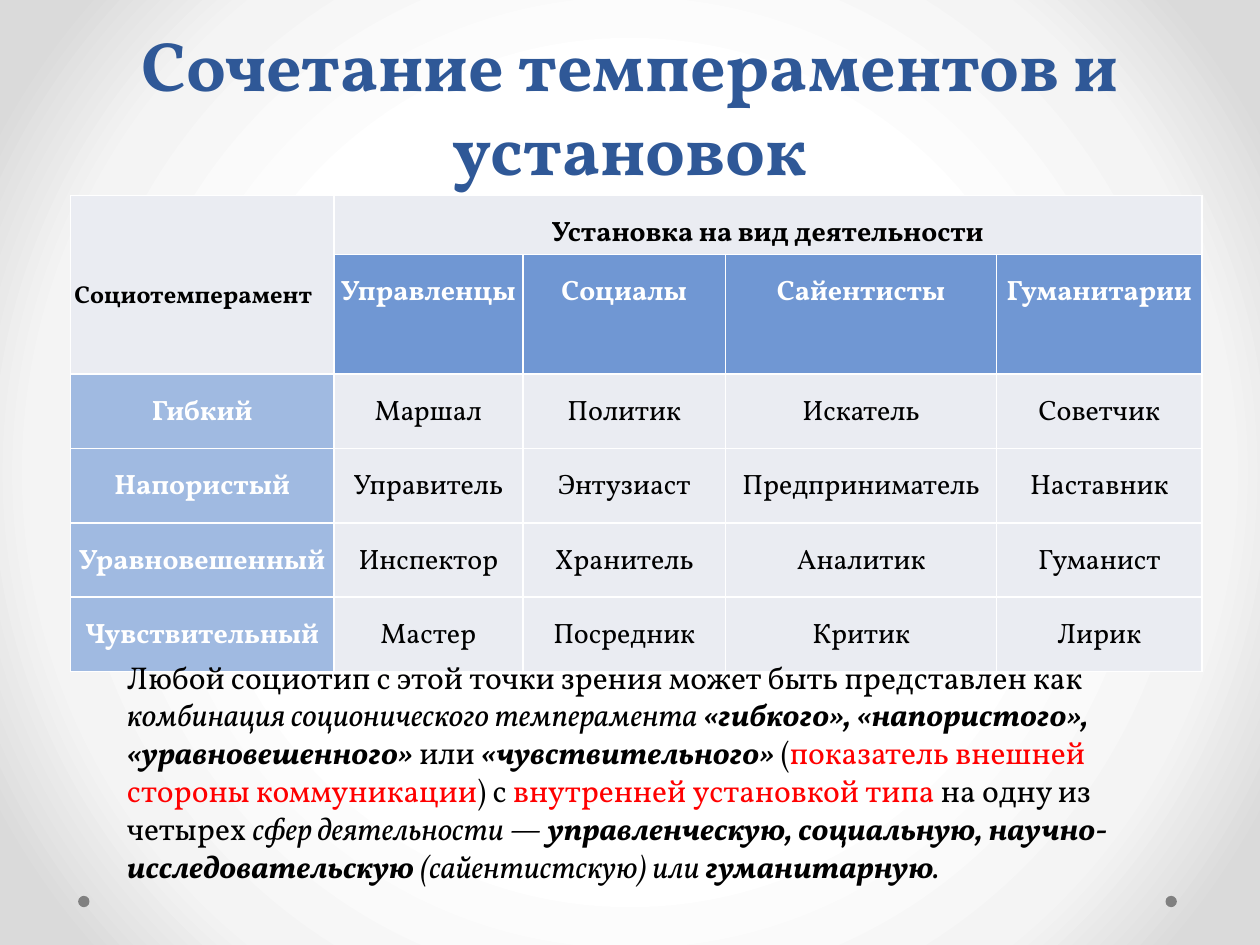
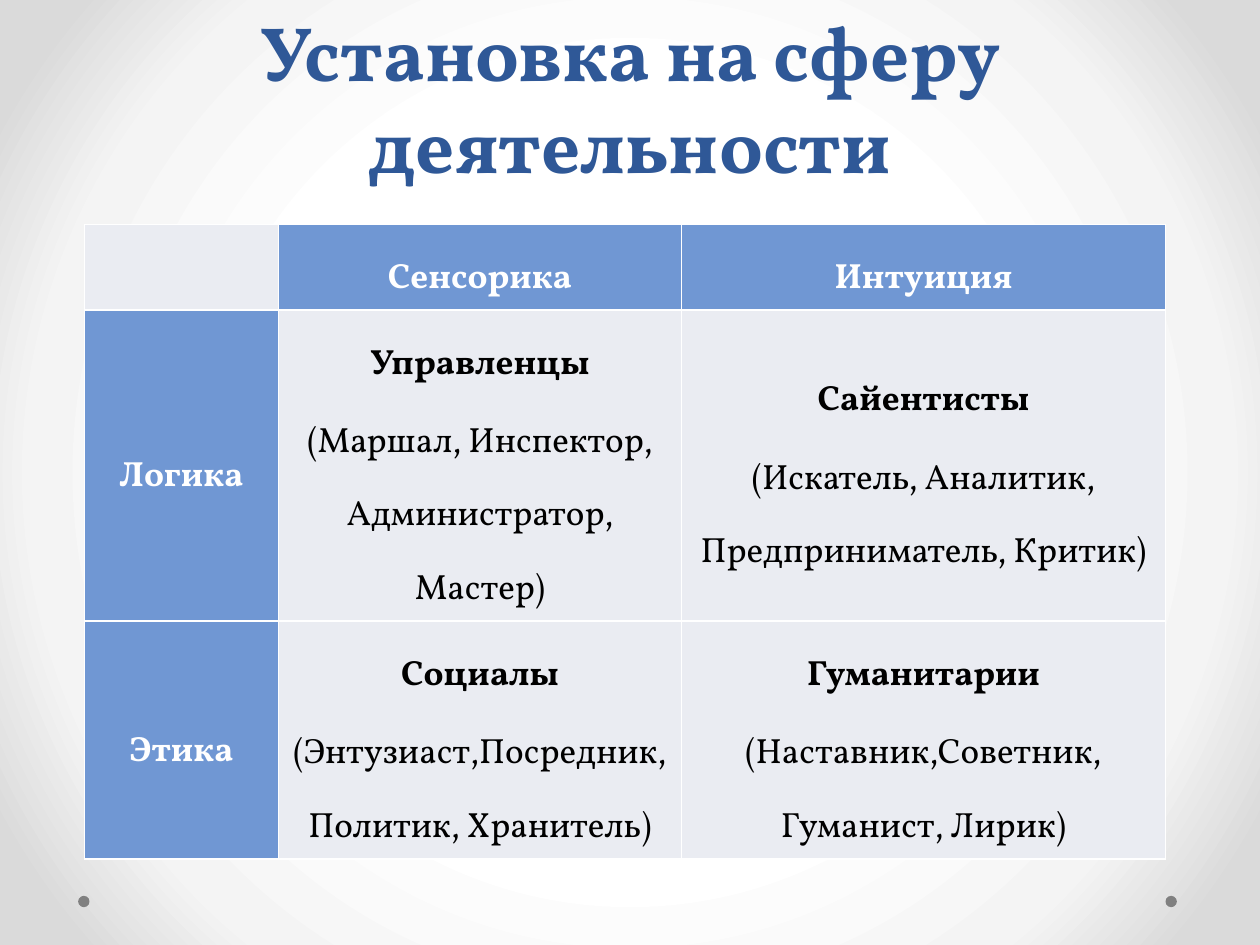
from lxml import etree
from pptx import Presentation
from pptx.dml.color import RGBColor as RGB
from pptx.enum.shapes import MSO_SHAPE as SHAPE
from pptx.enum.text import MSO_ANCHOR as ANCHOR, PP_ALIGN as ALIGN
from pptx.oxml import parse_xml
from pptx.oxml.ns import nsdecls, qn
from pptx.util import Inches, Pt

COLORS = {
    "title": "2F5897", "ink": "000000", "white": "FFFFFF", "accent": "FF0000",
    "head": "7097D3", "side": "A0BAE1", "body": "EAECF2", "dot": "808080",
}
GLOW = [(50, "FFFFFF"), (76, "F4F4F4"), (92, "DADADA")]
FONT = "Vollkorn"
COLS, ROWS = 100, 75


class Deck:
    def __init__(self):
        self.prs = Presentation()
        self.prs.slide_width, self.prs.slide_height = Inches(10), Inches(7.5)
        self.s = None

    def x(self, cols):
        return round(self.prs.slide_width * cols / COLS)

    def y(self, rows):
        return round(self.prs.slide_height * rows / ROWS)

    def box(self, left, top, width, height):
        return self.x(left), self.y(top), self.x(width), self.y(height)

    def slide(self):
        self.s = self.prs.slides.add_slide(self.prs.slide_layouts[6])
        self.background()
        for left in (92.5, 6.2):
            self.dot(left, 71.1)

    def background(self):
        self.s.background.fill.solid()
        bg = self.s.element.find(".//" + qn("p:bgPr"))
        stops = "".join(
            f'<a:gs pos="{pos * 1000}"><a:srgbClr val="{color}"/></a:gs>'
            for pos, color in GLOW)
        bg.replace(bg[0], parse_xml(
            f'<a:gradFill {nsdecls("a")} rotWithShape="1"><a:gsLst>{stops}</a:gsLst>'
            '<a:path path="circle"><a:fillToRect l="50000" t="50000" r="50000" b="50000"/>'
            '</a:path></a:gradFill>'))

    def dot(self, left, top):
        sp = self.s.shapes.add_shape(SHAPE.OVAL, *self.box(left, top, 0.9, 0.9))
        sp.shadow.inherit = False
        sp.fill.solid()
        sp.fill.fore_color.rgb = RGB.from_string(COLORS["dot"])
        sp.line.fill.background()

    def run(self, p, text, size, color="ink", bold=False, italic=False):
        r = p.add_run()
        r.text = text
        r.font.name, r.font.size = FONT, Pt(size)
        r.font.bold, r.font.italic = bold, italic
        r.font.color.rgb = RGB.from_string(COLORS[color])

    def text_box(self, place, anchor, align):
        tf = self.s.shapes.add_textbox(*self.box(*place)).text_frame
        tf.word_wrap = True
        tf.vertical_anchor = anchor
        p = tf.paragraphs[0]
        p.alignment, p.line_spacing = align, 1.0
        return p

    def title(self, text, top, height, size):
        p = self.text_box((5, top, 90, height), ANCHOR.BOTTOM, ALIGN.CENTER)
        self.run(p, text, size, "title", bold=True)

    def paragraph(self, place, size, runs):
        p = self.text_box(place, ANCHOR.TOP, ALIGN.LEFT)
        for text, style, color in runs:
            self.run(p, text, size, color, "b" in style, "i" in style)

    def table(self, left, top, cols, rows):
        place = self.box(left, top, sum(cols), sum(rows))
        tbl = self.s.shapes.add_table(len(rows), len(cols), *place).table
        tbl.first_row = tbl.horz_banding = False
        for col, width in zip(tbl.columns, cols):
            col.width = self.x(width)
        for row, height in zip(tbl.rows, rows):
            row.height = self.y(height)
        for cell in tbl.iter_cells():
            self.cell_frame(cell)
        return tbl

    def cell_frame(self, cell):
        self.fill(cell, "body")
        pr = cell._tc.get_or_add_tcPr()
        for i, side in enumerate("LRTB"):
            ln = etree.Element(qn(f"a:ln{side}"), w=str(Pt(1)))
            solid = etree.SubElement(ln, qn("a:solidFill"))
            etree.SubElement(solid, qn("a:srgbClr"), val=COLORS["white"])
            pr.insert(i, ln)

    def fill(self, cell, name):
        cell.fill.solid()
        cell.fill.fore_color.rgb = RGB.from_string(COLORS[name])

    def cell(self, cell, lines, size, fill="body", color="ink", bold=False,
             before=(), after=None, align=ALIGN.CENTER):
        self.fill(cell, fill)
        tf = cell.text_frame
        for i, text in enumerate(lines):
            p = tf.add_paragraph() if i else tf.paragraphs[0]
            p.alignment, p.line_spacing = align, 1.5
            if before:
                p.space_before = Pt(before[i])
            if after:
                p.space_after = Pt(after)
            self.run(p, text, size, color, bold and i == 0)


def temperaments(deck):
    deck.slide()
    deck.title("Сочетание темпераментов и установок", 0, 15.5, 40)
    heads = ["Управленцы", "Социалы", "Сайентисты", "Гуманитарии"]
    types = {
        "Гибкий": ["Маршал", "Политик", "Искатель", "Советчик"],
        "Напористый": ["Управитель", "Энтузиаст", "Предприниматель", "Наставник"],
        "Уравновешенный": ["Инспектор", "Хранитель", "Аналитик", "Гуманист"],
        "Чувствительный": ["Мастер", "Посредник", "Критик", "Лирик"],
    }
    tbl = deck.table(5.6, 15.5, [20.9, 15, 16.1, 21.5, 16.3],
                     [4.7, 9.5] + [5.9] * len(types))
    for cell in tbl.iter_cells():
        cell.margin_left = cell.margin_right = deck.x(0.3)
        cell.margin_top = cell.margin_bottom = 0
    corner, banner = tbl.cell(0, 0), tbl.cell(0, 1)
    corner.merge(tbl.cell(1, 0))
    banner.merge(tbl.cell(0, 4))
    corner.margin_top = deck.y(5.4)
    deck.cell(corner, ["Социотемперамент"], 14, bold=True, after=10, align=ALIGN.LEFT)
    deck.cell(banner, ["Установка на вид деятельности"], 16, bold=True, after=10)
    for c, head in enumerate(heads, 1):
        deck.cell(tbl.cell(1, c), [head], 16, "head", "white", True, after=10)
    for r, (temper, names) in enumerate(types.items(), 2):
        deck.cell(tbl.cell(r, 0), [temper], 16, "side", "white", True, after=10)
        for c, name in enumerate(names, 1):
            deck.cell(tbl.cell(r, c), [name], 16, after=10)
    deck.paragraph((9.1, 51.7, 87.7, 19.2), 18, [
        ("Любой социотип с этой точки зрения может быть представлен как ", "", "ink"),
        ("комбинация соционического темперамента ", "i", "ink"),
        ("«гибкого», «напористого», «уравновешенного»", "bi", "ink"),
        (" или ", "", "ink"),
        ("«чувствительного»", "bi", "ink"),
        (" (", "", "ink"),
        ("показатель внешней стороны коммуникации", "", "accent"),
        (") с ", "", "ink"),
        ("внутренней установкой типа ", "", "accent"),
        ("на одну из четырех ", "", "ink"),
        ("сфер деятельности", "i", "ink"),
        (" — ", "", "ink"),
        ("управленческую, социальную, научно-исследовательскую", "bi", "ink"),
        (" (сайентистскую) или ", "i", "ink"),
        ("гуманитарную", "bi", "ink"),
        (".", "i", "ink"),
    ])


def spheres(deck):
    deck.slide()
    deck.title("Установка на сферу деятельности", 1.6, 13.9, 44)
    heads = ["Сенсорика", "Интуиция"]
    groups = {
        "Логика": [
            ("Управленцы", "(Маршал, Инспектор, Администратор, Мастер)"),
            ("Сайентисты", "(Искатель, Аналитик, Предприниматель, Критик)")],
        "Этика": [
            ("Социалы", "(Энтузиаст,Посредник, Политик, Хранитель)"),
            ("Гуманитарии", "(Наставник,Советник, Гуманист, Лирик)")],
    }
    before = (3.9, 2.9)
    tbl = deck.table(6.7, 17.8, [15.4, 32, 38.4], [6.8, 24.7, 18.9])
    for cell in tbl.iter_cells():
        cell.vertical_anchor = ANCHOR.MIDDLE
    for c, head in enumerate(heads, 1):
        deck.cell(tbl.cell(0, c), [head], 20, "head", "white", True, before)
    for r, (side, cells) in enumerate(groups.items(), 1):
        deck.cell(tbl.cell(r, 0), [side], 20, "head", "white", True, before)
        for c, lines in enumerate(cells, 1):
            deck.cell(tbl.cell(r, c), lines, 20, bold=True, before=before)


def main():
    deck = Deck()
    temperaments(deck)
    spheres(deck)
    deck.prs.save("out.pptx")


if __name__ == "__main__":
    main()
